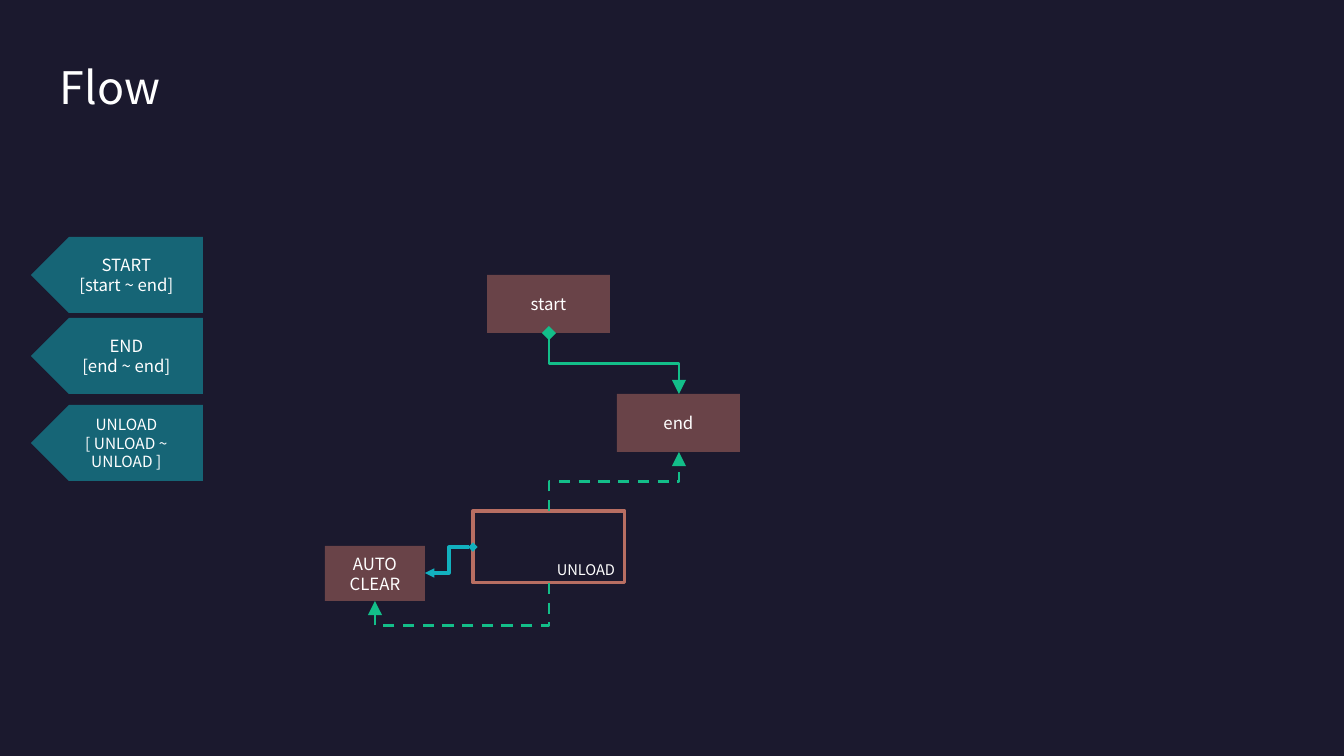
from lxml.etree import SubElement
from pptx import Presentation
from pptx.dml.color import RGBColor
from pptx.enum.dml import MSO_LINE
from pptx.enum.shapes import MSO_CONNECTOR, MSO_SHAPE
from pptx.enum.text import MSO_ANCHOR as ANCHOR, PP_ALIGN as ALIGN
from pptx.oxml.ns import qn
from pptx.util import Emu, Pt

EMU_PER_PX = 914400 / 100.8
FONT = "Noto Sans CJK KR"
NIGHT, WHITE, TEAL, CLAY, GREEN = "1B192E", "FFFFFF", "12B1BF", "B86E62", "13BE89"


def px(length):
    """Turn pixels into EMU."""
    return Emu(round(length * EMU_PER_PX))


def paint(target, color):
    """Give a fill one solid colour."""
    target.solid()
    target.fore_color.rgb = RGBColor.from_string(color)


def write(frame, lines, size, align=ALIGN.CENTER, anchor=ANCHOR.MIDDLE, wrap=True):
    """Put one paragraph per line into a text frame."""
    frame.text = "\n".join(lines)
    frame.word_wrap = wrap
    frame.vertical_anchor = anchor
    for paragraph in frame.paragraphs:
        paragraph.alignment = align
        paragraph.font.name = FONT
        paragraph.font.size = Pt(size)
        paint(paragraph.font.fill, WHITE)


def add_block(slide, preset, box, color):
    """Add a half-transparent shape without an outline."""
    block = slide.shapes.add_shape(preset, *map(px, box))
    block.shadow.inherit = False
    paint(block.fill, color)
    block.line.fill.background()
    tint = block.fill._xPr.find(qn("a:solidFill"))[0]
    SubElement(tint, qn("a:alpha"), val="50000")
    return block


def add_elbow(slide, start, end, color, width, bend=0.5, upright=True,
              dashed=False, diamond=False, head_size="lg"):
    """Add a bent arrow that leaves its start vertically if upright."""
    (x1, y1), (x2, y2) = start, end
    if upright:
        mid_x, mid_y = (x1 + x2) / 2, (y1 + y2) / 2
        x1, y1, x2, y2 = (mid_x + y1 - mid_y, mid_y - x1 + mid_x,
                          mid_x + y2 - mid_y, mid_y - x2 + mid_x)
    arrow = slide.shapes.add_connector(MSO_CONNECTOR.ELBOW, *map(px, (x1, y1, x2, y2)))
    properties = arrow._element.spPr
    if upright:
        properties.find(qn("a:xfrm")).set("rot", "5400000")
    adjustments = properties.find(qn("a:prstGeom")).find(qn("a:avLst"))
    SubElement(adjustments, qn("a:gd"), name="adj1", fmla=f"val {round(bend * 100000)}")
    paint(arrow.line.fill, color)
    arrow.line.width = Pt(width)
    if dashed:
        arrow.line.dash_style = MSO_LINE.DASH
    outline = properties.find(qn("a:ln"))
    if diamond:
        SubElement(outline, qn("a:headEnd"), type="diamond", w=head_size, len=head_size)
    SubElement(outline, qn("a:tailEnd"), type="triangle", w=head_size, len=head_size)
    SubElement(properties, qn("a:effectLst"))


def add_title(slide, left, top, width, height):
    """Place the slide title."""
    frame = slide.shapes.add_textbox(*map(px, (left, top, width, height))).text_frame
    frame.margin_left = frame.margin_right = frame.margin_top = frame.margin_bottom = 0
    write(frame, ["Flow"], 32, ALIGN.LEFT, ANCHOR.TOP)


def add_commands(slide, left, top, width, height):
    """Stack the left-pointing command tags."""
    commands = [
        (0, 12, ["START", "[start ~ end]"]),
        (81, 12, ["END", "[end ~ end]"]),
        (168, 11, ["UNLOAD", "[ UNLOAD ~", "UNLOAD ]"]),
    ]
    for offset, size, lines in commands:
        tag = add_block(slide, MSO_SHAPE.PENTAGON, (left, top + offset, width, height), TEAL)
        tag._element.spPr.find(qn("a:xfrm")).set("flipH", "1")
        write(tag.text_frame, lines, size, wrap=False)


def add_flow(slide, left, top):
    """Draw the states and the arrows between them."""
    states = [
        (162, 0, 123, 58, ["start"]),
        (292, 119, 123, 58, ["end"]),
        (0, 271, 100, 55, ["AUTO", "CLEAR"]),
    ]
    for x, y, width, height, lines in states:
        state = add_block(slide, MSO_SHAPE.RECTANGLE, (left + x, top + y, width, height), CLAY)
        write(state.text_frame, lines, 12)

    unload = slide.shapes.add_shape(
        MSO_SHAPE.RECTANGLE, *map(px, (left + 148, top + 236, 152, 72)))
    unload.shadow.inherit = False
    unload.fill.background()
    paint(unload.line.fill, CLAY)
    unload.line.width = Pt(2.25)
    write(unload.text_frame, ["UNLOAD"], 10.5, ALIGN.RIGHT, ANCHOR.BOTTOM)

    def at(x, y):
        """Shift a point into the flow region."""
        return left + x, top + y

    add_elbow(slide, at(224, 58), at(354, 119), GREEN, 2, diamond=True)
    add_elbow(slide, at(148, 272), at(100, 298), TEAL, 2.25,
              upright=False, diamond=True, head_size="med")
    add_elbow(slide, at(224, 308), at(50, 326), GREEN, 2, bend=2.37, dashed=True)
    add_elbow(slide, at(224, 236), at(354, 177), GREEN, 2, dashed=True)


def main():
    """Build and save the slide."""
    deck = Presentation()
    deck.slide_width, deck.slide_height = px(1344), px(756)
    slide = deck.slides.add_slide(deck.slide_layouts[6])
    paint(slide.background.fill, NIGHT)
    add_title(slide, 60, 60, 1223, 58)
    add_commands(slide, 31, 237, 172, 76)
    add_flow(slide, 325, 275)
    deck.save("out.pptx")


if __name__ == "__main__":
    main()
